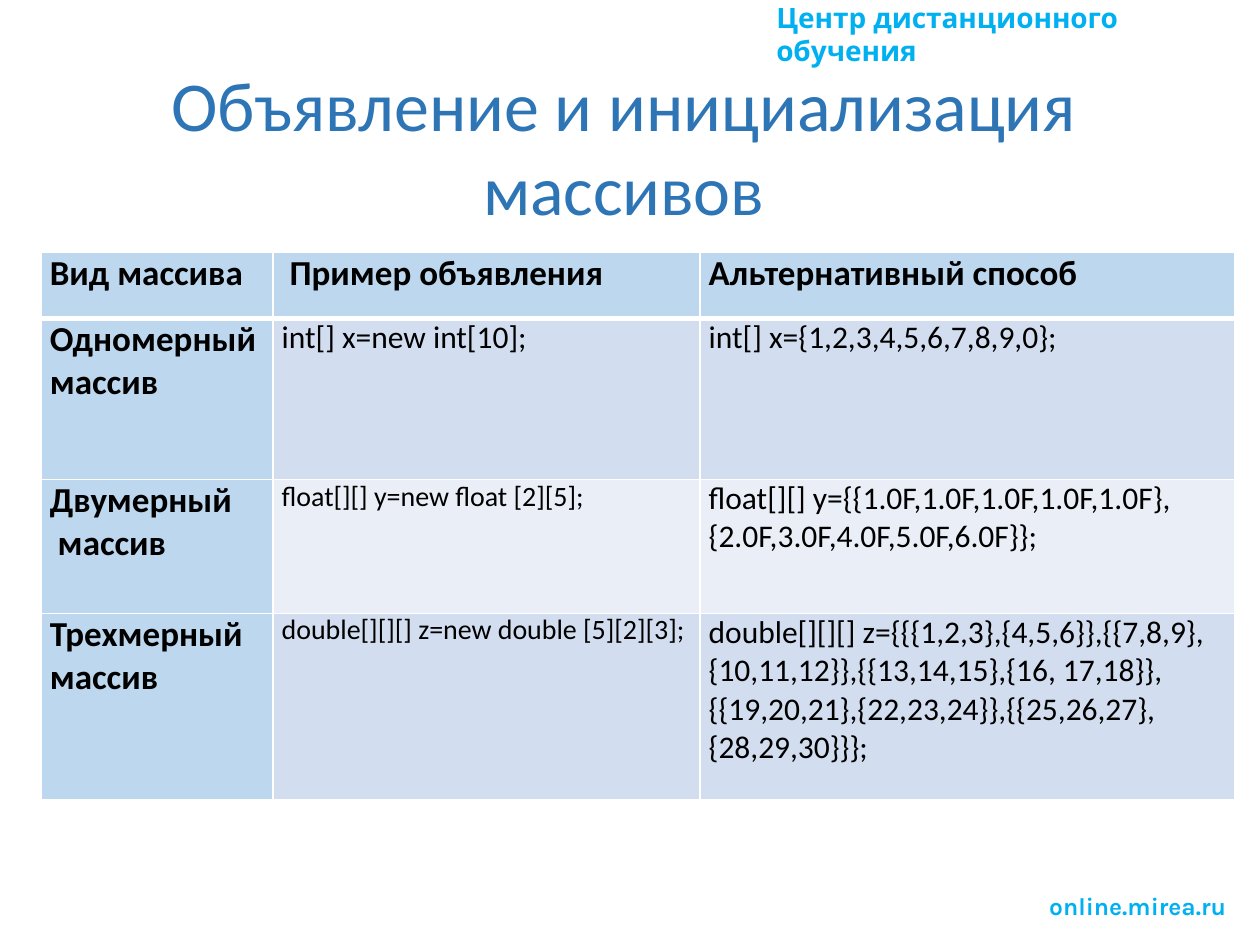
from dataclasses import dataclass

from lxml.etree import SubElement
from pptx import Presentation
from pptx.dml.color import RGBColor
from pptx.enum.text import MSO_ANCHOR, MSO_AUTO_SIZE, PP_ALIGN
from pptx.oxml.ns import qn
from pptx.util import Pt

COLORS = {
    "white": "FFFFFF",
    "black": "000000",
    "brand": "00B0F0",
    "title": "2E75B6",
    "head": "BDD7EE",
    "odd": "D2DEEF",
    "even": "EAEFF7",
}
COL_WIDTHS = (132.5, 244, 305.5)
ROW_HEIGHTS = (38, 92, 76.5, 106.5)


@dataclass
class Label:
    text: str
    left: float
    top: float
    width: float
    height: float
    size: float


@dataclass
class ArrayKind:
    name: tuple[str, ...]
    declaration: str
    declaration_size: float
    alternative: str


LABELS = (
    Label("Центр дистанционного обучения", 436.5, -3.5, 283.5, 26.5, 16),
    Label("online.mirea.ru", 592.5, 505.5, 116, 24.5, 14),
)
HEADINGS = ("Вид массива", " Пример объявления", "Альтернативный способ")
KINDS = (
    ArrayKind(("Одномерный", "массив"), "int[] x=new int[10];", 18,
              "int[] x={1,2,3,4,5,6,7,8,9,0};"),
    ArrayKind(("Двумерный", " массив"), "float[][] y=new float [2][5];", 16,
              "float[][] y={{1.0F,1.0F,1.0F,1.0F,1.0F},"
              "{2.0F,3.0F,4.0F,5.0F,6.0F}};"),
    ArrayKind(("Трехмерный", "массив"), "double[][][] z=new double [5][2][3];", 16,
              "double[][][] z={{{1,2,3},{4,5,6}},{{7,8,9},{10,11,12}},"
              "{{13,14,15},{16, 17,18}},{{19,20,21},{22,23,24}},"
              "{{25,26,27},{28,29,30}}};"),
)


def add_run(p, text: str, size: float, color: str, bold: bool = False,
            font: str = "Calibri") -> None:
    r = p.add_run()
    r.text = text
    r.font.name = font
    r.font.size = Pt(size)
    r.font.bold = bold
    r.font.color.rgb = RGBColor.from_string(COLORS[color])


def add_label(s, label: Label) -> None:
    box = s.shapes.add_textbox(Pt(label.left), Pt(label.top),
                               Pt(label.width), Pt(label.height))
    tf = box.text_frame
    tf.word_wrap = True
    add_run(tf.paragraphs[0], label.text, label.size, "brand", True, "Karla")


def set_title(s, text: str) -> None:
    sp = s.shapes.title
    sp.left, sp.top, sp.width, sp.height = Pt(23), Pt(31), Pt(667), Pt(104.5)
    tf = sp.text_frame
    tf.word_wrap = True
    tf.auto_size = MSO_AUTO_SIZE.NONE
    tf.vertical_anchor = MSO_ANCHOR.MIDDLE
    p = tf.paragraphs[0]
    p.alignment = PP_ALIGN.CENTER
    add_run(p, text, 40, "title")


def set_borders(cell, top: float, bottom: float) -> None:
    """White borders: 1 pt at the sides, given widths above and below."""
    tc_pr = cell._tc.get_or_add_tcPr()
    for side, width in (("L", 1), ("R", 1), ("T", top), ("B", bottom)):
        ln = SubElement(tc_pr, qn(f"a:ln{side}"), w=str(Pt(width)))
        fill = SubElement(ln, qn("a:solidFill"))
        SubElement(fill, qn("a:srgbClr"), val=COLORS["white"])


def fill_cell(cell, lines: tuple[str, ...], size: float, fill: str,
              bold: bool) -> None:
    cell.margin_left = cell.margin_right = Pt(5)
    cell.margin_top = cell.margin_bottom = Pt(0)
    cell.fill.solid()
    cell.fill.fore_color.rgb = RGBColor.from_string(COLORS[fill])
    tf = cell.text_frame
    for i, line in enumerate(lines):
        p = tf.add_paragraph() if i else tf.paragraphs[0]
        add_run(p, line, size, "black", bold)


def add_array_table(s) -> None:
    table = s.shapes.add_table(
        len(ROW_HEIGHTS), len(COL_WIDTHS), Pt(23.5), Pt(144),
        Pt(sum(COL_WIDTHS)), Pt(sum(ROW_HEIGHTS))).table
    for column, width in zip(table.columns, COL_WIDTHS):
        column.width = Pt(width)
    for i, (row, height) in enumerate(zip(table.rows, ROW_HEIGHTS)):
        row.height = Pt(height)
        for cell in row.cells:
            set_borders(cell, 3 if i == 1 else 1, 3 if i == 0 else 1)
    for col, heading in enumerate(HEADINGS):
        fill_cell(table.cell(0, col), (heading,), 20, "head", True)
    for i, kind in enumerate(KINDS, 1):
        band = "odd" if i % 2 else "even"
        fill_cell(table.cell(i, 0), kind.name, 20, "head", True)
        fill_cell(table.cell(i, 1), (kind.declaration,),
                  kind.declaration_size, band, False)
        fill_cell(table.cell(i, 2), (kind.alternative,), 18, band, False)


def main() -> None:
    prs = Presentation()
    prs.slide_width, prs.slide_height = Pt(720), Pt(540)
    s = prs.slides.add_slide(prs.slide_layouts[5])
    for label in LABELS:
        add_label(s, label)
    set_title(s, "Объявление и инициализация массивов")
    add_array_table(s)
    prs.save("out.pptx")


if __name__ == "__main__":
    main()
